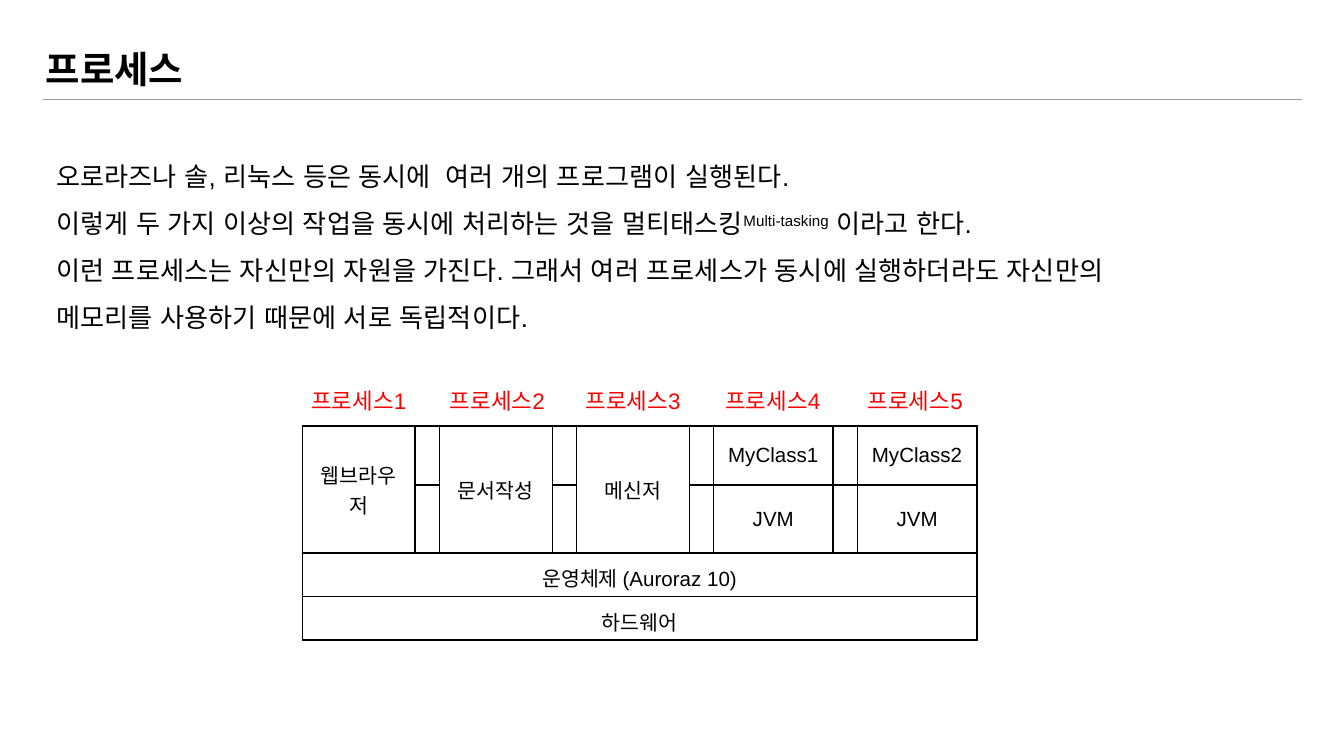
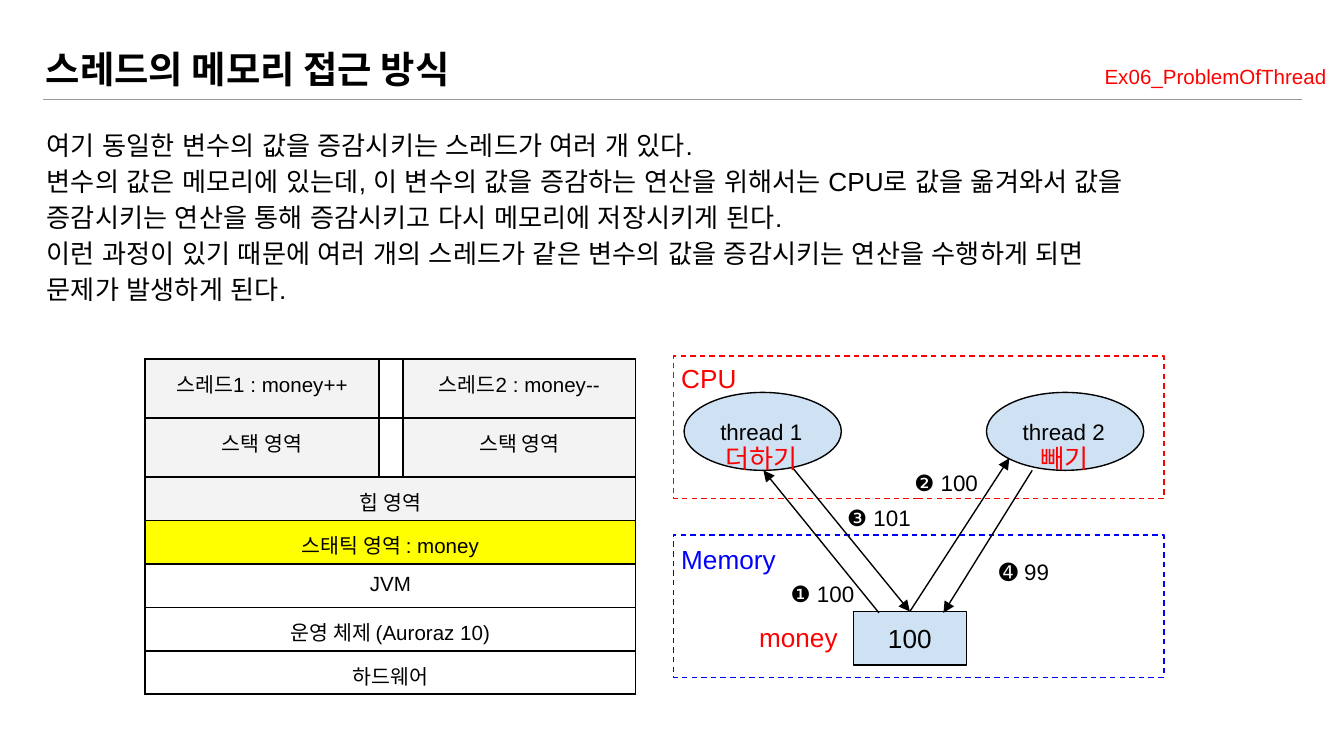
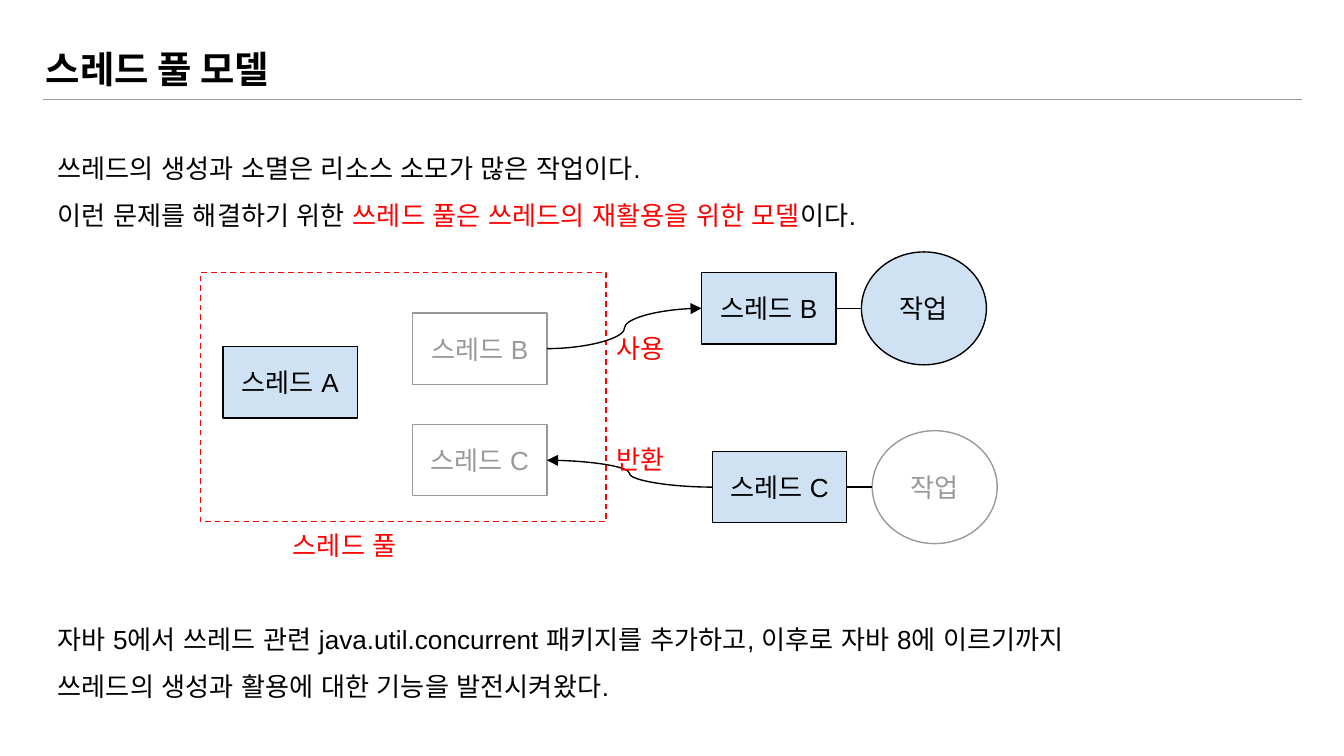
import pptx
import pptx.dml.color
import pptx.enum.dml
import pptx.enum.shapes
import pptx.enum.text
import pptx.oxml
import pptx.oxml.ns
import pptx.util
from pptx.util import Inches

RGBColor = pptx.dml.color.RGBColor
BLACK = RGBColor(0x00, 0x00, 0x00)
WHITE = RGBColor(0xFF, 0xFF, 0xFF)
GRAY = RGBColor(0x99, 0x99, 0x99)
PALE_GRAY = RGBColor(0xF3, 0xF3, 0xF3)
PALE_BLUE = RGBColor(0xCF, 0xE2, 0xF3)
RED = RGBColor(0xFF, 0x00, 0x00)
BLUE = RGBColor(0x00, 0x00, 0xFF)
YELLOW = RGBColor(0xFF, 0xFF, 0x00)

TITLE_FONT = "Noto Sans CJK KR"
BODY_FONT = "Arial"
THIN = pptx.util.Pt(0.75)

Align = pptx.enum.text.PP_ALIGN
Anchor = pptx.enum.text.MSO_ANCHOR
Shape = pptx.enum.shapes.MSO_SHAPE
Connector = pptx.enum.shapes.MSO_CONNECTOR
TOP, LEFT, RIGHT = 0, 1, 3


def add_xml(parent, tag, **attributes):
    element = pptx.oxml.parse_xml(f"<a:{tag} {pptx.oxml.ns.nsdecls('a')}/>")
    for name, value in attributes.items():
        element.set(name, value)
    parent.append(element)
    return element


def write_text(frame, paragraphs, size=14, color=BLACK, align=Align.LEFT, spacing=1.0,
               anchor=Anchor.TOP, margin=0.1, font=BODY_FONT, bold=False,
               east_asian_font=True):
    """Fill a frame; a paragraph is a string or a list of (text, color, baseline) runs."""
    inset = Inches(margin)
    frame_format = {"word_wrap": True, "vertical_anchor": anchor, "margin_left": inset,
                    "margin_right": inset, "margin_top": inset, "margin_bottom": inset}
    for name, value in frame_format.items():
        setattr(frame, name, value)
    for index, content in enumerate(paragraphs):
        paragraph = frame.paragraphs[0] if index == 0 else frame.add_paragraph()
        paragraph.alignment = align
        paragraph.line_spacing = spacing
        runs = [(content, color, None)] if isinstance(content, str) else content
        for text, run_color, baseline in runs:
            run = paragraph.add_run()
            run.text = text
            run.font.color.rgb = run_color
            font_format = {"name": font, "size": pptx.util.Pt(size), "bold": bold}
            for name, value in font_format.items():
                setattr(run.font, name, value)
            properties = run._r.get_or_add_rPr()
            properties.set("kern", "0")
            if east_asian_font:
                add_xml(properties, "ea", typeface=font)
            if baseline:
                properties.set("baseline", baseline)


def add_text(slide, box, *paragraphs, **text_format):
    text_box = slide.shapes.add_textbox(*map(Inches, box))
    write_text(text_box.text_frame, paragraphs, **text_format)


def add_box(slide, box, text=None, kind=Shape.RECTANGLE, fill=PALE_BLUE, line=BLACK,
            dashed=False, **text_format):
    shape = slide.shapes.add_shape(kind, *map(Inches, box))
    shape.shadow.inherit = False
    if fill is None:
        shape.fill.background()
    else:
        shape.fill.solid()
        shape.fill.fore_color.rgb = fill
    shape.line.color.rgb = line
    shape.line.width = THIN
    if dashed:
        shape.line.dash_style = pptx.enum.dml.MSO_LINE.DASH
    if text:
        values = {"align": Align.CENTER, "anchor": Anchor.MIDDLE, **text_format}
        write_text(shape.text_frame, [text], **values)
    return shape


def add_line(slide, start, end, kind=Connector.STRAIGHT, color=BLACK, arrow=None,
             begin_at=None, end_at=None):
    """Draw a connector; begin_at and end_at are (shape, side) joints."""
    connector = slide.shapes.add_connector(kind, *map(Inches, (*start, *end)))
    if begin_at:
        connector.begin_connect(*begin_at)
    if end_at:
        connector.end_connect(*end_at)
    connector.line.color.rgb = color
    connector.line.width = THIN
    if arrow:
        add_xml(connector.line._get_or_add_ln(), arrow, type="triangle")
    add_xml(connector._element.spPr, "effectLst")


def add_borders(cell):
    properties = cell._tc.get_or_add_tcPr()
    for side in ("lnL", "lnR", "lnT", "lnB"):
        border = add_xml(properties, side, w=str(pptx.util.Pt(1)))
        add_xml(add_xml(border, "solidFill"), "srgbClr", val=str(BLACK))


def add_layer_table(slide, origin, columns, heights, rows, fills=(), middle_rows=0):
    """Draw stacked layers; a row with one text spans all columns."""
    shape = slide.shapes.add_table(len(rows), len(columns), *map(
        Inches, (*origin, sum(columns), sum(heights))))
    table = shape.table
    table.first_row = table.horz_banding = False
    for column, width in zip(table.columns, columns):
        column.width = Inches(width)
    for row, height in zip(table.rows, heights):
        row.height = Inches(height)
    for row_index, texts in enumerate(rows):
        anchor = Anchor.MIDDLE if row_index < middle_rows else Anchor.TOP
        fill = fills[row_index] if row_index < len(fills) else None
        for column_index in range(len(columns)):
            cell = table.cell(row_index, column_index)
            add_borders(cell)
            text = texts[column_index] if column_index < len(texts) else ""
            if fill is not None and text:
                cell.fill.solid()
                cell.fill.fore_color.rgb = fill
            else:
                cell.fill.background()
            cell.vertical_anchor = anchor
            for side in ("left", "right", "top", "bottom"):
                setattr(cell, f"margin_{side}", Inches(0.07))
            if text:
                write_text(cell.text_frame, [text], size=11, align=Align.CENTER,
                           anchor=anchor, margin=0.07, east_asian_font=False)
        if len(texts) == 1:
            table.cell(row_index, 0).merge(table.cell(row_index, len(columns) - 1))
    return table


def add_titled_slide(presentation, title):
    slide = presentation.slides.add_slide(presentation.slide_layouts[5])
    slide.background.fill.solid()
    slide.background.fill.fore_color.rgb = WHITE
    placeholder = slide.shapes.title
    for name, value in zip(("left", "top", "width", "height"), (0.24, 0.24, 8.22, 0.54)):
        setattr(placeholder, name, Inches(value))
    write_text(placeholder.text_frame, [title], size=20, font=TITLE_FONT, bold=True,
               anchor=Anchor.MIDDLE)
    add_line(slide, (0.32, 0.74), (9.69, 0.74), color=GRAY)
    return slide


def add_process_layers(slide, left, top):
    columns = [0.84, 0.18, 0.84, 0.18, 0.84, 0.18, 0.89, 0.18, 0.89]
    programs = ["웹브라우저", "", "문서작성", "", "메신저", "", "MyClass1", "", "MyClass2"]
    machines = [""] * 6 + ["JVM", "", "JVM"]
    table = add_layer_table(
        slide, (left, top), columns, [0.44, 0.44, 0.32, 0.32],
        [programs, machines, ["운영체제 (Auroraz 10)"], ["하드웨어"]], middle_rows=2)
    for column in (0, 2, 4):
        table.cell(0, column).merge(table.cell(1, column))
    for number, offset in enumerate((-0.09, 0.94, 1.95, 2.99, 4.05), start=1):
        add_text(slide, (left + offset, top - 0.39, 1.02, 0.4), f"프로세스{number}",
                 size=12, color=RED, align=Align.CENTER)


def build_process_slide(presentation):
    slide = add_titled_slide(presentation, "프로세스")
    add_text(
        slide, (0.32, 0.98, 8.72, 1.5),
        "오로라즈나 솔, 리눅스 등은 동시에  여러 개의 프로그램이 실행된다.",
        [("이렇게 두 가지 이상의 작업을 동시에 처리하는 것을 멀티태스킹", BLACK, None),
         ("Multi-tasking", BLACK, "30000"), (" 이라고 한다.", BLACK, None)],
        "이런 프로세스는 자신만의 자원을 가진다. 그래서 여러 프로세스가 동시에 "
        "실행하더라도 자신만의 메모리를 사용하기 때문에 서로 독립적이다.",
        spacing=1.5)
    add_process_layers(slide, 2.25, 3.17)


def add_memory_access(slide, left, top):
    """Show two threads on the CPU reading and writing one value in memory."""
    def at(x, y, *size):
        return (left + x, top + y, *size)

    area = (3.65, 1.06)
    add_box(slide, at(0, 1.33, *area), fill=None, line=BLUE, dashed=True)
    add_box(slide, at(0, 0, *area), fill=None, line=RED, dashed=True)
    money = add_box(slide, at(1.34, 1.9, 0.84, 0.4), "100")
    thread_format = {"kind": Shape.OVAL, "size": 12, "align": Align.LEFT}
    thread_size = (1.17, 0.58)
    add_box(slide, at(2.33, 0.27, *thread_size), "thread 2", **thread_format)
    money_top = (money, TOP)
    for start, end, joints in (
            (at(1.53, 1.91), at(0.67, 0.85), {}),
            (at(0.83, 0.76), at(1.76, 1.9), {"end_at": money_top}),
            (at(1.76, 1.9), at(2.5, 0.76), {"begin_at": money_top}),
            (at(2.67, 0.85), at(2.01, 1.91), {})):
        add_line(slide, start, end, arrow="tailEnd", **joints)
    add_box(slide, at(0.08, 0.27, *thread_size), "thread 1", **thread_format)
    for x, y, step in ((0.64, 1.57, "❶ 100"), (1.06, 1.0, "❸ 101"),
                       (1.56, 0.74, "❷ 100"), (2.14, 1.4, "➍ 99")):
        add_text(slide, at(x, y, 0.94, 0.4), step, size=12, align=Align.CENTER)
    for x, y, width, label, color in (
            (0.29, 0.54, 0.86, "더하기", RED), (2.63, 0.54, 0.86, "빼기", RED),
            (0.54, 1.87, 0.86, "money", RED), (-0.04, -0.05, 0.86, "CPU", RED),
            (-0.04, 1.29, 1.02, "Memory", BLUE)):
        add_text(slide, at(x, y, width, 0.44), label, color=color)


def build_memory_slide(presentation):
    slide = add_titled_slide(presentation, "스레드의 메모리 접근 방식")
    add_text(
        slide, (0.25, 0.83, 8.51, 1.52),
        "여기 동일한 변수의 값을 증감시키는 스레드가 여러 개 있다.",
        "변수의 값은 메모리에 있는데, 이 변수의 값을 증감하는 연산을 위해서는 CPU로 값을 "
        "옮겨와서 값을 증감시키는 연산을 통해 증감시키고 다시 메모리에 저장시키게 된다.",
        "이런 과정이 있기 때문에 여러 개의 스레드가 같은 변수의 값을 증감시키는 연산을 "
        "수행하게 되면 문제가 발생하게 된다.",
        spacing=1.15)
    add_layer_table(
        slide, (1.08, 2.67), [1.74, 0.18, 1.73], [0.44] * 2 + [0.32] * 5,
        [["스레드1 : money++", "", "스레드2 : money--"], ["스택 영역", "", "스택 영역"],
         ["힙 영역"], ["스태틱 영역 : money"], ["JVM"],
         ["운영 체제 (Auroraz 10)"], ["하드웨어"]],
        fills=[PALE_GRAY] * 3 + [YELLOW])
    add_memory_access(slide, 5.01, 2.65)
    add_text(slide, (6.69, 0.35, 3.28, 0.39), "Ex06_ProblemOfThread", size=11, color=RED,
             align=Align.RIGHT, spacing=1.15)


def add_thread_pool(slide, left, top):
    """Show a pool lending thread B to a task and taking thread C back."""
    def at(x, y, *size):
        return (left + x, top + y, *size)

    thread_size, task_size = (1, 0.53), (0.93, 0.84)
    idle = {"fill": None, "line": GRAY, "color": GRAY}
    add_box(slide, at(0, 0, 3.02, 1.85), fill=None, line=RED, dashed=True)
    add_box(slide, at(0.17, 0.55, *thread_size), "스레드 A")
    add_text(slide, at(0.59, 1.81, 2, 0.44), "스레드 풀", color=RED)
    for name, slot_y, work_x, work_y, arrow, action, task_format in (
            ("스레드 B", 0.3, 3.73, 0, "tailEnd", "사용", {}),
            ("스레드 C", 1.13, 3.81, 1.33, "headEnd", "반환", idle)):
        slot = add_box(slide, at(1.58, slot_y, *thread_size), name, **idle)
        thread = add_box(slide, at(work_x, work_y, *thread_size), name)
        middle = work_y + thread_size[1] / 2
        add_line(slide, at(2.58, slot_y + thread_size[1] / 2), at(work_x, middle),
                 kind=Connector.CURVE, arrow=arrow,
                 begin_at=(slot, RIGHT), end_at=(thread, LEFT))
        add_text(slide, at(3, slot_y + 0.04, 0.93, 0.44), action, color=RED)
        task_x = work_x + 1.19
        add_box(slide, at(task_x, middle - task_size[1] / 2, *task_size), "작업",
                kind=Shape.OVAL, **task_format)
        add_line(slide, at(work_x + 1, middle), at(task_x, middle),
                 begin_at=(thread, RIGHT))


def build_pool_slide(presentation):
    slide = add_titled_slide(presentation, "스레드 풀 모델")
    add_text(
        slide, (0.33, 0.92, 8.6, 0.84),
        "쓰레드의 생성과 소멸은 리소스 소모가 많은 작업이다.",
        [("이런 문제를 해결하기 위한 ", BLACK, None),
         ("쓰레드 풀은 쓰레드의 재활용을 위한 모델", RED, None), ("이다.", BLACK, None)],
        spacing=1.5)
    add_thread_pool(slide, 1.49, 2.03)
    add_text(
        slide, (0.33, 4.42, 8.12, 0.79),
        "자바 5에서 쓰레드 관련 java.util.concurrent 패키지를 추가하고, 이후로 자바 8에 "
        "이르기까지 쓰레드의 생성과 활용에 대한 기능을 발전시켜왔다.",
        spacing=1.5)


def main():
    presentation = pptx.Presentation()
    presentation.slide_width = Inches(10)
    presentation.slide_height = Inches(10) * 9 // 16
    build_process_slide(presentation)
    build_memory_slide(presentation)
    build_pool_slide(presentation)
    presentation.save("out.pptx")


if __name__ == "__main__":
    main()
